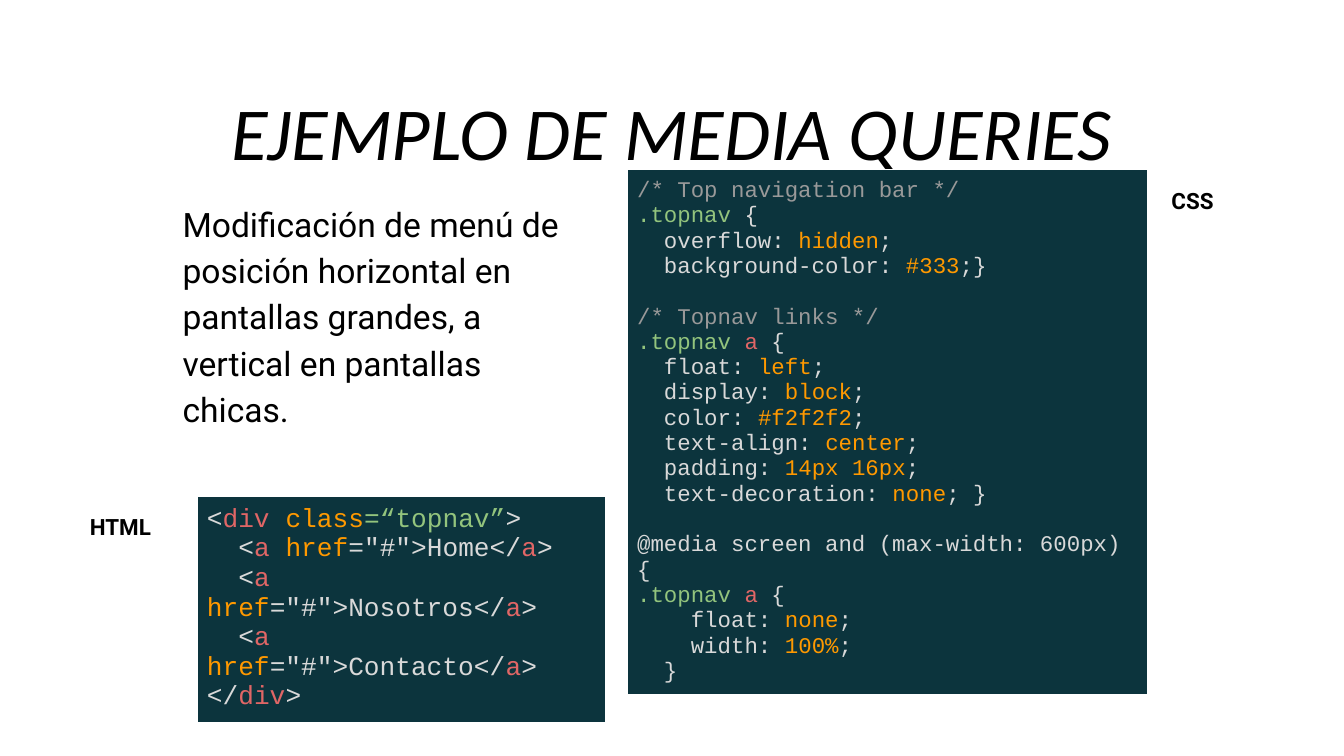
import pptx
import pptx.dml.color
import pptx.enum.text
import pptx.oxml
import pptx.oxml.ns
import pptx.util
from pptx.util import Cm

RGBColor = pptx.dml.color.RGBColor
BLACK = RGBColor(0x00, 0x00, 0x00)
PANEL = RGBColor(0x0C, 0x34, 0x3D)
PLAIN = RGBColor(0xD9, 0xD9, 0xD9)
TAG = RGBColor(0xE0, 0x66, 0x66)
VALUE = RGBColor(0xFF, 0x99, 0x00)
SELECTOR = RGBColor(0x93, 0xC4, 0x7D)
COMMENT = RGBColor(0x99, 0x99, 0x99)


def style_text(shape, text, font_name, size):
    frame = shape.text_frame
    frame.word_wrap = True
    frame.auto_size = pptx.enum.text.MSO_AUTO_SIZE.NONE
    frame.vertical_anchor = pptx.enum.text.MSO_ANCHOR.TOP
    frame.margin_left = frame.margin_right = Cm(0.25)
    frame.margin_top = frame.margin_bottom = Cm(0.25)
    paragraph = frame.paragraphs[0]
    paragraph.text = text
    paragraph.line_spacing = 1.15
    paragraph.space_before = pptx.util.Pt(0)
    paragraph.font.name = font_name
    paragraph.font.size = pptx.util.Pt(size)
    paragraph.font.color.rgb = BLACK
    return paragraph


def declaration(name, value, end=";", indent="  "):
    return [(PLAIN, f"{indent}{name}: "), (VALUE, value), (PLAIN, end)]


presentation = pptx.Presentation()
presentation.slide_width = Cm(25.4)
presentation.slide_height = Cm(14.28)
slide = presentation.slides.add_slide(presentation.slide_layouts[1])

title = slide.shapes.title
title.left, title.top, title.width, title.height = Cm(1.78), Cm(1.12), Cm(21.82), Cm(1.93)
paragraph = style_text(title, "EJEMPLO DE MEDIA QUERIES", "Calibri", 40)
paragraph.alignment = pptx.enum.text.PP_ALIGN.CENTER
paragraph.space_after = pptx.util.Pt(3)
paragraph.font.italic = True

body = slide.placeholders[1]
body.left, body.top, body.width, body.height = Cm(3.2), Cm(3.48), Cm(8.26), Cm(4.85)
description = (
    "Modificación de menú de posición horizontal en pantallas grandes, "
    "a vertical en pantallas chicas."
)
paragraph = style_text(body, description, "Roboto", 18)
paragraph.space_before = pptx.util.Pt(10)
properties = paragraph._p.get_or_add_pPr()
properties.set("marL", "0")
properties.set("indent", "0")
no_bullet = pptx.oxml.parse_xml(f"<a:buNone {pptx.oxml.ns.nsdecls('a')}/>")
properties.insert_element_before(no_bullet, "a:tabLst", "a:defRPr", "a:extLst")

html_lines = [
    [(PLAIN, "<"), (TAG, "div "), (VALUE, "class"), (SELECTOR, "=“topnav”"), (PLAIN, ">")]
]
for link in ["Home", "Nosotros", "Contacto"]:
    html_lines.append([
        (PLAIN, "  <"), (TAG, "a "), (VALUE, "href"),
        (PLAIN, f'="#">{link}</'), (TAG, "a"), (PLAIN, ">"),
    ])
html_lines.append([(PLAIN, "</"), (TAG, "div"), (PLAIN, ">")])

css_lines = [
    [(COMMENT, "/* Top navigation bar */")],
    [(SELECTOR, ".topnav"), (PLAIN, " {")],
    declaration("overflow", "hidden"),
    declaration("background-color", "#333", ";}"),
    [],
    [(COMMENT, "/* Topnav links */")],
    [(SELECTOR, ".topnav"), (TAG, " a"), (PLAIN, " {")],
    declaration("float", "left"),
    declaration("display", "block"),
    declaration("color", "#f2f2f2"),
    declaration("text-align", "center"),
    declaration("padding", "14px 16px"),
    declaration("text-decoration", "none", "; }"),
    [],
    [
        (PLAIN, "@media screen and (max-width: 600px) {"), (PLAIN, "\n"),
        (SELECTOR, ".topnav "), (TAG, "a"), (PLAIN, " {"),
    ],
    declaration("float", "none", indent="    "),
    declaration("width", "100%", indent="    "),
    [(PLAIN, "  }")],
]

code_panels = [
    (html_lines, 14, 3.73, 9.37, 7.72, 3.73),
    (css_lines, 12, 11.86, 3.2, 9.83, 6.68),
]
for lines, size, left, top, width, height in code_panels:
    table = slide.shapes.add_table(1, 1, Cm(left), Cm(top), Cm(width), Cm(height)).table
    table.first_row = False
    table.horz_banding = False
    cell = table.cell(0, 0)
    cell.margin_left = cell.margin_right = Cm(0.18)
    cell.margin_top = cell.margin_bottom = Cm(0.18)
    for side in ["lnL", "lnR", "lnT", "lnB"]:
        cell._tc.get_or_add_tcPr().append(pptx.oxml.parse_xml(
            f'<a:{side} {pptx.oxml.ns.nsdecls("a")} w="9525">'
            f'<a:solidFill><a:srgbClr val="FFFFFF"/></a:solidFill></a:{side}>'
        ))
    cell.fill.solid()
    cell.fill.fore_color.rgb = PANEL
    for number, line in enumerate(lines):
        frame = cell.text_frame
        paragraph = frame.add_paragraph() if number else frame.paragraphs[0]
        paragraph.font.name = "Courier New"
        paragraph.font.size = pptx.util.Pt(size)
        for color, text in line:
            if text == "\n":
                paragraph.add_line_break()
                continue
            run = paragraph.add_run()
            run.text = text
            run.font.color.rgb = color

for text, left, top, width in [("HTML", 1.45, 9.37, 2.08), ("CSS", 21.89, 3.2, 1.42)]:
    label = slide.shapes.add_textbox(Cm(left), Cm(top), Cm(width), Cm(0.91))
    paragraph = style_text(label, text, "Roboto", 12)
    paragraph.font.bold = True

presentation.save("out.pptx")
